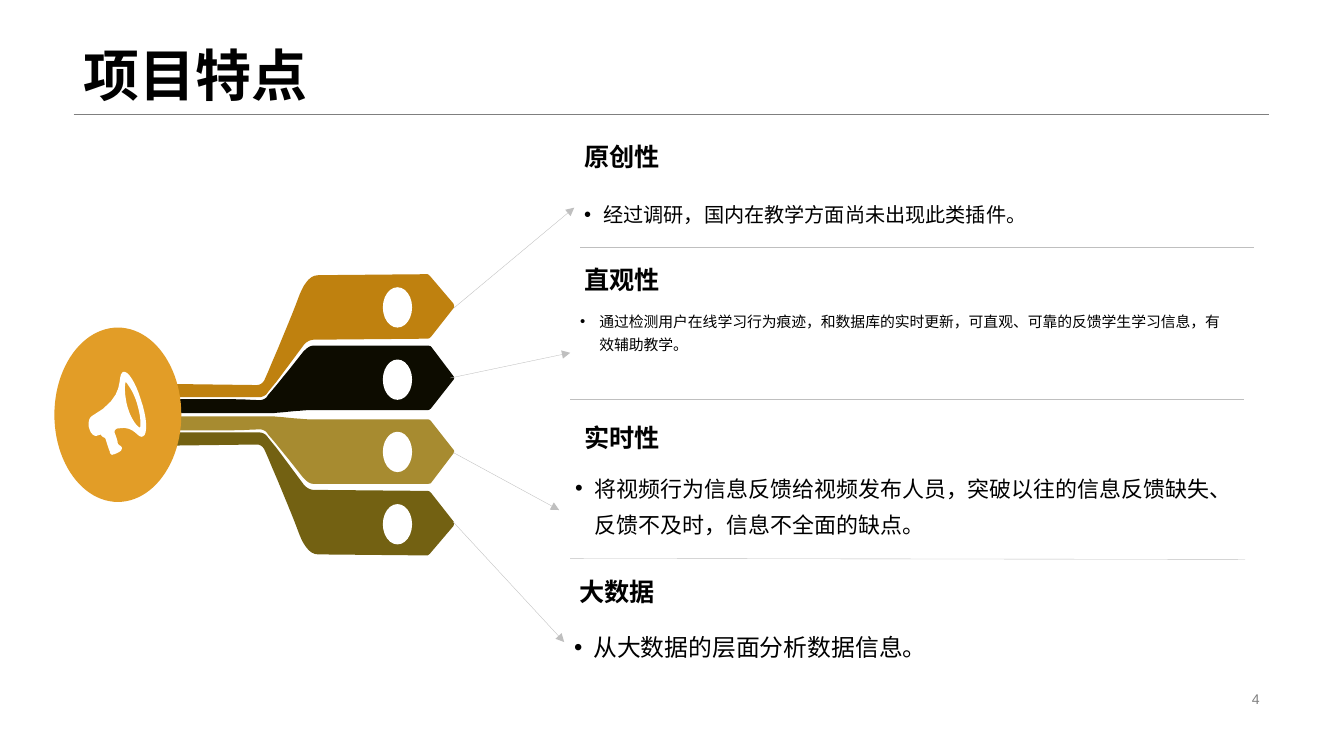
from lxml import etree
from pptx import Presentation
from pptx.dml.color import RGBColor
from pptx.enum.shapes import MSO_CONNECTOR, MSO_SHAPE
from pptx.enum.text import MSO_ANCHOR, PP_ALIGN
from pptx.oxml.ns import qn
from pptx.util import Inches, Pt

LINE, OVAL = MSO_CONNECTOR.STRAIGHT, MSO_SHAPE.OVAL
TOP, MIDDLE, BOTTOM = MSO_ANCHOR.TOP, MSO_ANCHOR.MIDDLE, MSO_ANCHOR.BOTTOM
LEFT, RIGHT = PP_ALIGN.LEFT, PP_ALIGN.RIGHT

BLACK = RGBColor(0x00, 0x00, 0x00)
WHITE = RGBColor(0xFF, 0xFF, 0xFF)
GRAY = RGBColor(0x7F, 0x7F, 0x7F)
SILVER = RGBColor(0xBF, 0xBF, 0xBF)
AMBER = RGBColor(0xE2, 0x9D, 0x27)
OCHRE = RGBColor(0xBF, 0x81, 0x0F)
INK = RGBColor(0x0D, 0x0C, 0x00)
KHAKI = RGBColor(0xA7, 0x8B, 0x30)
OLIVE = RGBColor(0x73, 0x61, 0x12)
HEAD_FONT, BODY_FONT = "Arial", "Noto Sans CJK SC"

TITLE, PAGE = "项目特点", "4"

FEATURES = [
    ("原创性", (5.7, 1.37), "经过调研，国内在教学方面尚未出现此类插件。",
     (5.7, 1.84, 6.56, 0.44), 14.4, 1.5),
    ("直观性", (5.7, 2.6), "通过检测用户在线学习行为痕迹，和数据库的实时更新，可直观、可靠的反馈学生学习信息，有效辅助教学。",
     (5.66, 3, 6.62, 0.56), 10.6, 1.3),
    ("实时性", (5.7, 4.16), "将视频行为信息反馈给视频发布人员，突破以往的信息反馈缺失、反馈不及时，信息不全面的缺点。",
     (5.61, 4.56, 6.53, 0.83), 15.7, 1.4),
    ("大数据", (5.65, 5.69), "从大数据的层面分析数据信息。",
     (5.6, 6.09, 6.44, 0.56), 17, 1.5),
]
DIVIDERS = [(5.76, 2.45, 12.45, 2.45), (5.66, 3.96, 12.35, 3.96), (5.66, 5.54, 12.36, 5.55)]
ARROWS = [(4.5, 3.06, 5.7, 2.06), (4.47, 3.75, 5.66, 3.5),
          (4.5, 4.49, 5.55, 5.06), (4.5, 5.18, 5.6, 6.37)]

OUTER_ARM = [
    (2.57, 3.94), (2.62, 3.94, 2.65, 3.91, 2.66, 3.89), (2.75, 3.78), (3.01, 3.43),
    (3.03, 3.4, 3.07, 3.37, 3.12, 3.37), (4.24, 3.36), (4.26, 3.36, 4.27, 3.35, 4.28, 3.34),
    (4.5, 3.06), (4.51, 3.05, 4.51, 3.03, 4.5, 3.01), (4.27, 2.74),
    (4.26, 2.73, 4.25, 2.72, 4.24, 2.72), (3.16, 2.73), (3.06, 2.73, 3, 2.85, 2.96, 2.96),
    (2.92, 3.08, 2.7, 3.6, 2.63, 3.76), (2.61, 3.81, 2.57, 3.82, 2.55, 3.82),
    (1.75, 3.81), (1.63, 3.92), (1.68, 3.94),
]
INNER_ARM = [
    (3.05, 4.07), (4.24, 4.07), (4.26, 4.07, 4.27, 4.06, 4.28, 4.05), (4.5, 3.77),
    (4.51, 3.76, 4.51, 3.74, 4.5, 3.73), (4.28, 3.44), (4.27, 3.43, 4.26, 3.43, 4.24, 3.43),
    (3.11, 3.43), (3.07, 3.43, 3.04, 3.46, 3.01, 3.49), (3.01, 3.49, 2.75, 3.82, 2.66, 3.92),
    (2.65, 3.94, 2.63, 3.97, 2.57, 3.97), (2.54, 3.97, 2.42, 3.96, 2.23, 3.96),
    (1.68, 3.96), (1.68, 4.1), (2.7, 4.1), (2.7, 4.1, 3.02, 4.07, 3.05, 4.07),
]
HORN_MOUTH = [
    (1.39, 4.24), (1.38, 4.25, 1.31, 4.18, 1.27, 4.05), (1.23, 3.92, 1.24, 3.79, 1.25, 3.79),
    (1.25, 3.79, 1.32, 3.87, 1.36, 4), (1.4, 4.13, 1.4, 4.24, 1.39, 4.24),
]
HORN_BODY = [
    (1.4, 3.97), (1.35, 3.8, 1.27, 3.67, 1.22, 3.69), (1.15, 3.74, 1.27, 3.93, 0.91, 4.13),
    (0.88, 4.15, 0.87, 4.22, 0.89, 4.26), (0.9, 4.3, 0.94, 4.34, 0.97, 4.32),
    (0.98, 4.32, 1, 4.31, 1, 4.31), (1.02, 4.35, 1.04, 4.33, 1.05, 4.36),
    (1.06, 4.39, 1.08, 4.46, 1.09, 4.48), (1.09, 4.5, 1.11, 4.52, 1.12, 4.51),
    (1.13, 4.51, 1.18, 4.49, 1.19, 4.48), (1.21, 4.47, 1.21, 4.45, 1.21, 4.44),
    (1.2, 4.42, 1.18, 4.42, 1.17, 4.4), (1.17, 4.38, 1.15, 4.32, 1.14, 4.3),
    (1.13, 4.27, 1.15, 4.25, 1.18, 4.25), (1.34, 4.22, 1.37, 4.36, 1.42, 4.33),
    (1.47, 4.31, 1.46, 4.14, 1.4, 3.97),
]
MIRROR_SUM = 8.23
ARMS = [(OUTER_ARM, False, OCHRE), (INNER_ARM, False, INK),
        (INNER_ARM, True, KHAKI), (OUTER_ARM, True, OLIVE)]
BADGE_TOP, BADGE_STEP = 2.85, 0.717
CURVE_STEPS = 8
UNITS = 1000


def flatten(outline):
    points = [outline[0]]
    for step in outline[1:]:
        if len(step) == 2:
            points.append(step)
            continue
        knots = [points[-1], step[:2], step[2:4], step[4:]]
        for i in range(1, CURVE_STEPS + 1):
            t = i / CURVE_STEPS
            weights = ((1 - t) ** 3, 3 * t * (1 - t) ** 2, 3 * t * t * (1 - t), t ** 3)
            points.append(tuple(sum(w * k[a] for w, k in zip(weights, knots)) for a in (0, 1)))
    return points


def paint(sp, color):
    sp.shadow.inherit = False
    sp.fill.solid()
    sp.fill.fore_color.rgb = color
    sp.line.fill.background()


def add_outline(s, contours, color):
    scaled = [[(round(x * UNITS), round(y * UNITS)) for x, y in c] for c in contours]
    builder = s.shapes.build_freeform(*scaled[0][0], scale=Inches(1) / UNITS)
    builder.add_line_segments(scaled[0][1:], close=True)
    for contour in scaled[1:]:
        builder.move_to(*contour[0])
        builder.add_line_segments(contour[1:], close=True)
    paint(builder.convert_to_shape(), color)


def add_oval(s, box, color):
    paint(s.shapes.add_shape(OVAL, *map(Inches, box)), color)


def add_line(s, ends, color, arrow=False):
    sp = s.shapes.add_connector(LINE, *map(Inches, ends))
    sp.line.color.rgb = color
    sp.line.width = Pt(0.25)
    if arrow:
        etree.SubElement(sp.line._get_or_add_ln(), qn("a:tailEnd"), type="triangle")
    etree.SubElement(sp._element.spPr, qn("a:effectLst"))


def add_text(s, box, text, size, font, spacing=1.0, color=BLACK, bold=False,
             anchor=TOP, align=LEFT, wrap=True, bullet=False):
    tf = s.shapes.add_textbox(*map(Inches, box)).text_frame
    tf.word_wrap = wrap
    tf.vertical_anchor = anchor
    p = tf.paragraphs[0]
    p.alignment = align
    p.line_spacing = spacing
    if bullet:
        pPr = p._p.get_or_add_pPr()
        pPr.set("marL", str(Inches(0.19)))
        pPr.set("indent", str(-Inches(0.19)))
        etree.SubElement(pPr, qn("a:buFont"), typeface="Arial")
        etree.SubElement(pPr, qn("a:buChar"), char="•")
    r = p.add_run()
    r.text = text
    r.font.size = Pt(size)
    r.font.name = font
    r.font.bold = bold
    r.font.color.rgb = color
    etree.SubElement(r._r.get_or_add_rPr(), qn("a:ea"), typeface=BODY_FONT)


def main():
    prs = Presentation()
    prs.slide_width, prs.slide_height = Inches(13.34), Inches(7.5)
    s = prs.slides.add_slide(prs.slide_layouts[6])

    add_line(s, (0.73, 1.13, 12.6, 1.13), GRAY)
    add_text(s, (0.73, 0, 11.87, 1.13), TITLE, 40, HEAD_FONT, 0.9, bold=True, anchor=BOTTOM)
    add_text(s, (9.42, 6.82, 3.18, 0.23), PAGE, 10, HEAD_FONT, color=GRAY,
             anchor=MIDDLE, align=RIGHT)

    for i, (outline, mirrored, color) in enumerate(ARMS):
        points = flatten(outline)
        if mirrored:
            points = [(x, MIRROR_SUM - y) for x, y in points]
        add_outline(s, [points], color)
        add_oval(s, (3.8, BADGE_TOP + i * BADGE_STEP, 0.29, 0.4), WHITE)

    add_oval(s, (0.54, 3.25, 1.26, 1.73), AMBER)
    add_outline(s, [flatten(HORN_MOUTH), flatten(HORN_BODY)], WHITE)

    for heading, corner, body, box, size, spacing in FEATURES:
        add_text(s, box, body, size, BODY_FONT, spacing, bullet=True)
        add_text(s, (*corner, 3.16, 0.38), heading, 18, HEAD_FONT, 0.9,
                 bold=True, anchor=BOTTOM, wrap=False)
    for ends in DIVIDERS:
        add_line(s, ends, SILVER)
    for ends in ARROWS:
        add_line(s, ends, SILVER, arrow=True)

    prs.save("out.pptx")


if __name__ == "__main__":
    main()
